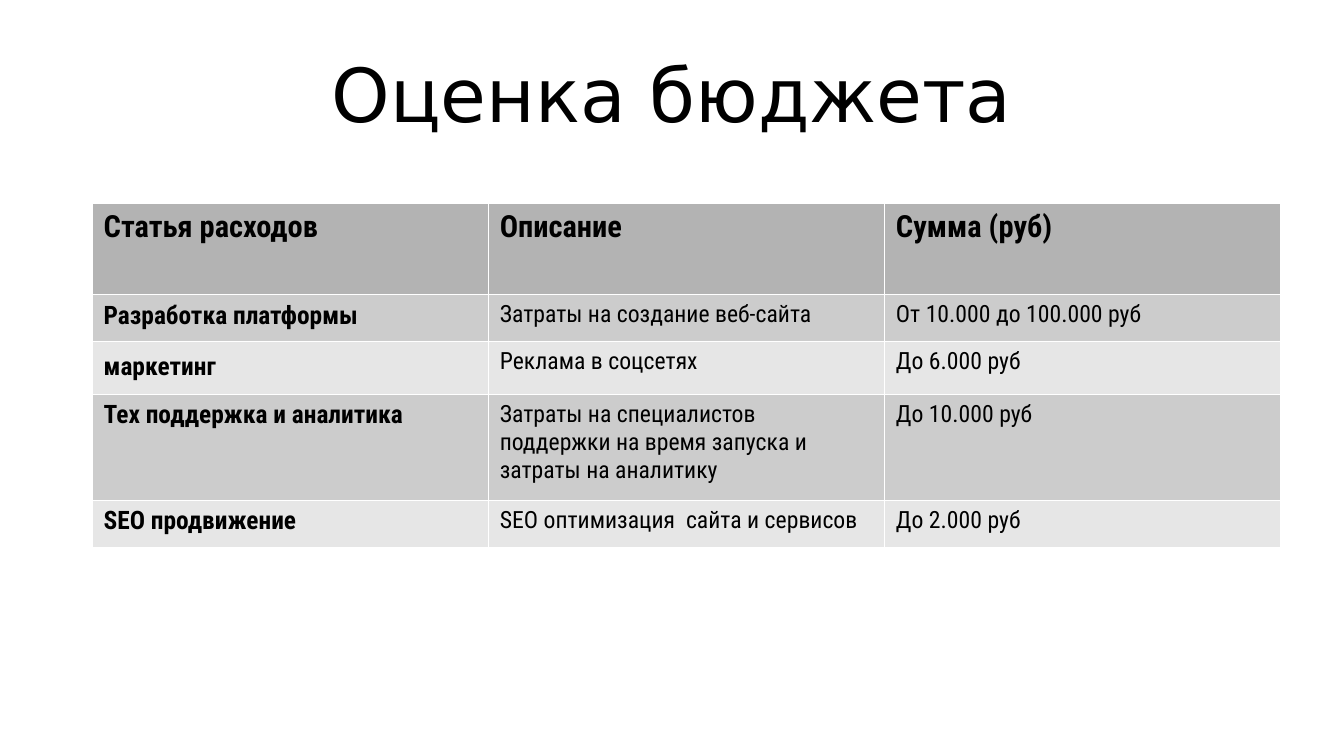
from lxml.etree import SubElement
from pptx import Presentation
from pptx.dml.color import RGBColor
from pptx.enum.text import MSO_ANCHOR, PP_ALIGN
from pptx.oxml.ns import qn
from pptx.util import Cm, Pt

BLACK = RGBColor(0x00, 0x00, 0x00)
HEAD = RGBColor(0xB3, 0xB3, 0xB3)
DARK = RGBColor(0xCC, 0xCC, 0xCC)
LIGHT = RGBColor(0xE6, 0xE6, 0xE6)
LINE = "FFFFFF"

COSTS = [
    ("Статья расходов", "Описание", "Сумма (руб)"),
    ("Разработка платформы", "Затраты на создание веб-сайта", "От 10.000 до 100.000 руб"),
    ("маркетинг", "Реклама в соцсетях", "До 6.000 руб"),
    ("Тех поддержка и аналитика",
     "Затраты на специалистов поддержки на время запуска и затраты на аналитику",
     "До 10.000 руб"),
    ("SEO продвижение", "SEO оптимизация  сайта и сервисов", "До 2.000 руб"),
]
HEIGHTS = [1.9, 0.98, 1.1, 2.21, 0.98]


class Deck:
    """Holds the fonts and the current slide and adds elements to it."""

    def __init__(self, show):
        self.slide = show.slides.add_slide(show.slide_layouts[5])
        self.title_font = "DejaVu Sans"
        self.body_font = "Roboto Condensed"

    def style(self, para, name, size, bold=False):
        font = para.font
        font.name, font.size, font.bold = name, Pt(size), bold
        font.color.rgb = BLACK

    def title(self, text, left, top, width, height):
        shape = self.slide.shapes.title
        shape.left, shape.top = Cm(left), Cm(top)
        shape.width, shape.height = Cm(width), Cm(height)
        frame = shape.text_frame
        frame.text = text
        frame.vertical_anchor = MSO_ANCHOR.MIDDLE
        frame.margin_left = frame.margin_right = 0
        frame.margin_top = frame.margin_bottom = 0
        para = frame.paragraphs[0]
        para.alignment = PP_ALIGN.CENTER
        self.style(para, self.title_font, 44)

    def border(self, cell):
        props = cell._tc.get_or_add_tcPr()
        for spot, side in enumerate(("a:lnL", "a:lnR", "a:lnT", "a:lnB")):
            line = SubElement(props, qn(side), w=str(Pt(0.06)))
            fill = SubElement(line, qn("a:solidFill"))
            SubElement(fill, qn("a:srgbClr"), val=LINE)
            props.insert(spot, line)

    def cell(self, cell, text, size, bold, color):
        cell.text = text
        cell.margin_left = cell.margin_right = Cm(0.25)
        cell.margin_top = cell.margin_bottom = Cm(0.13)
        cell.fill.solid()
        cell.fill.fore_color.rgb = color
        self.border(cell)
        self.style(cell.text_frame.paragraphs[0], self.body_font, size, bold)

    def table(self, rows, heights, left, top, width):
        frame = self.slide.shapes.add_table(
            len(rows), len(rows[0]), Cm(left), Cm(top), Cm(width), Cm(sum(heights)))
        grid = frame.table
        for r, (row, height) in enumerate(zip(rows, heights)):
            grid.rows[r].height = Cm(height)
            color = HEAD if r == 0 else DARK if r % 2 else LIGHT
            for c, text in enumerate(row):
                size = 18 if r == 0 else 15 if c == 0 else 14
                self.cell(grid.cell(r, c), text, size, r == 0 or c == 0, color)
        return grid


def main():
    show = Presentation()
    show.slide_width, show.slide_height = Cm(28), Cm(15.75)
    deck = Deck(show)
    deck.title("Оценка бюджета", 1.4, 0.2, 25.2, 3.48)
    grid = deck.table(COSTS, HEIGHTS, 1.91, 4.23, 24.76)
    grid.cell(2, 0).margin_top = Cm(0.23)
    show.save("out.pptx")


if __name__ == "__main__":
    main()
